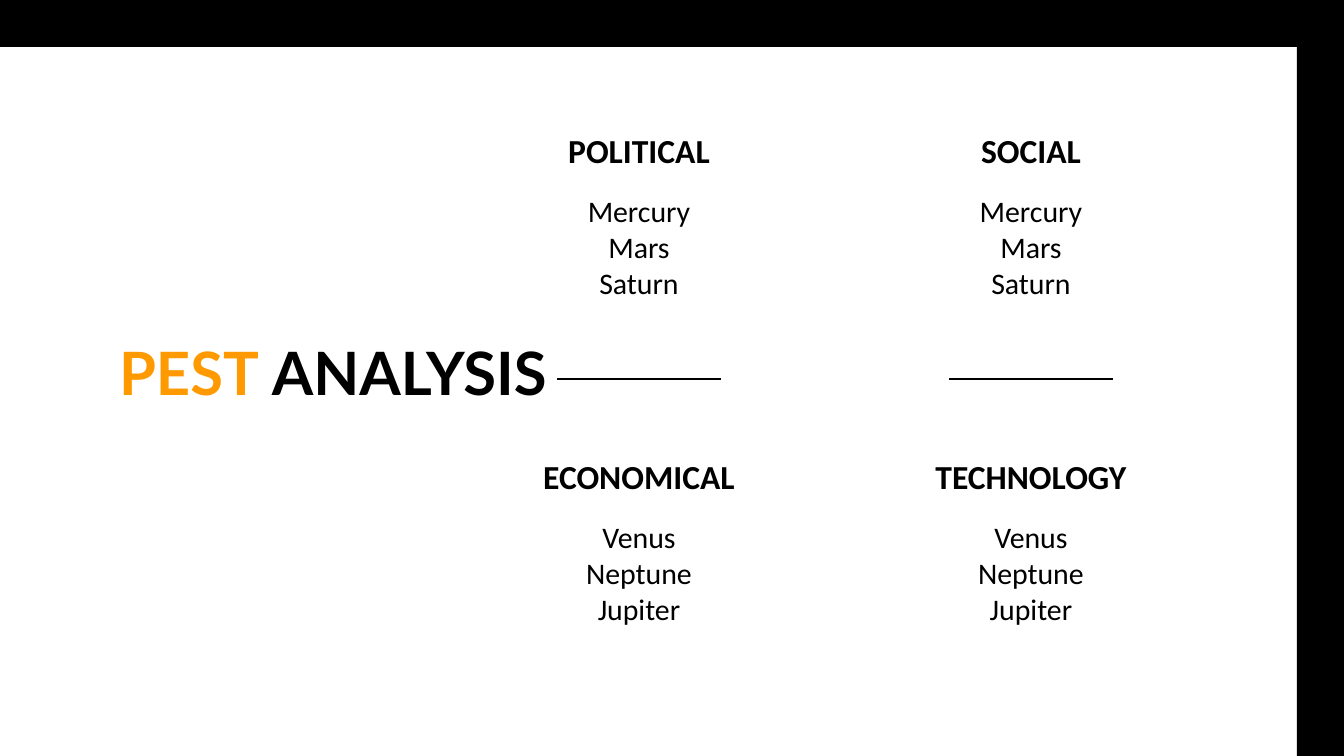
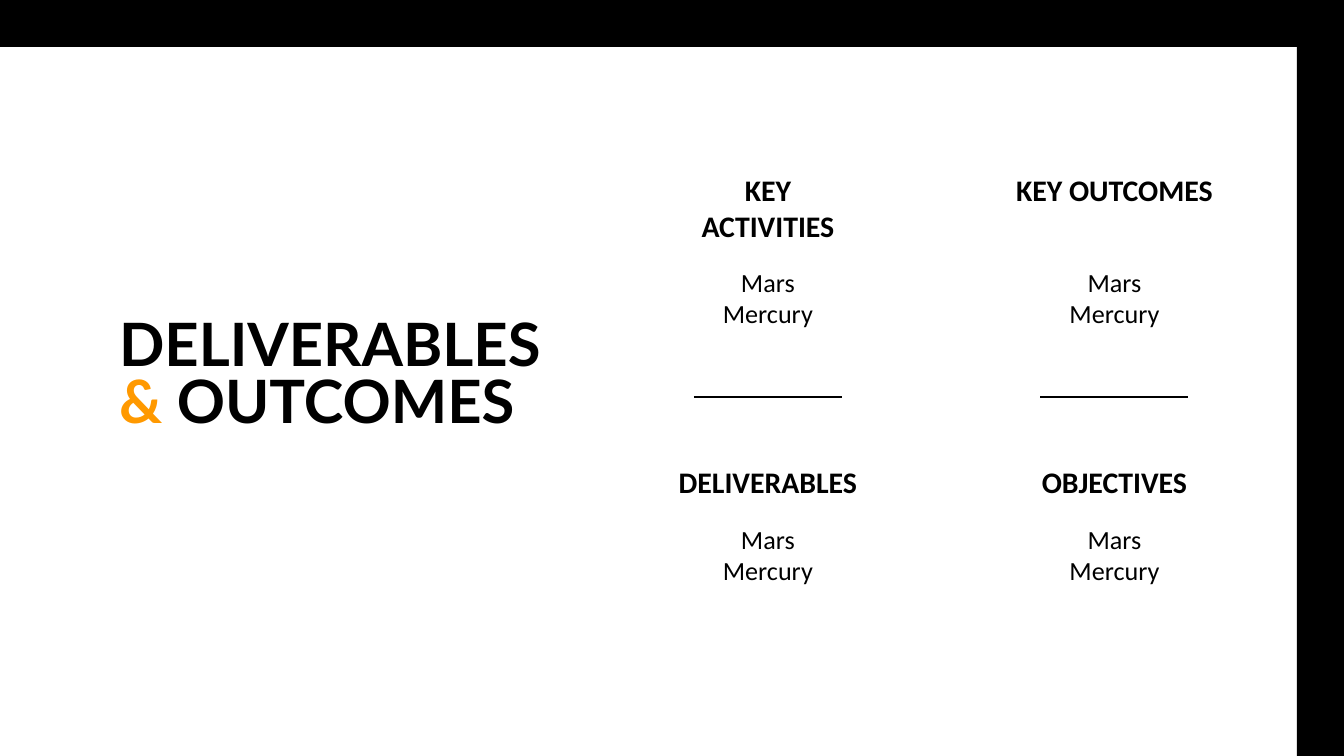
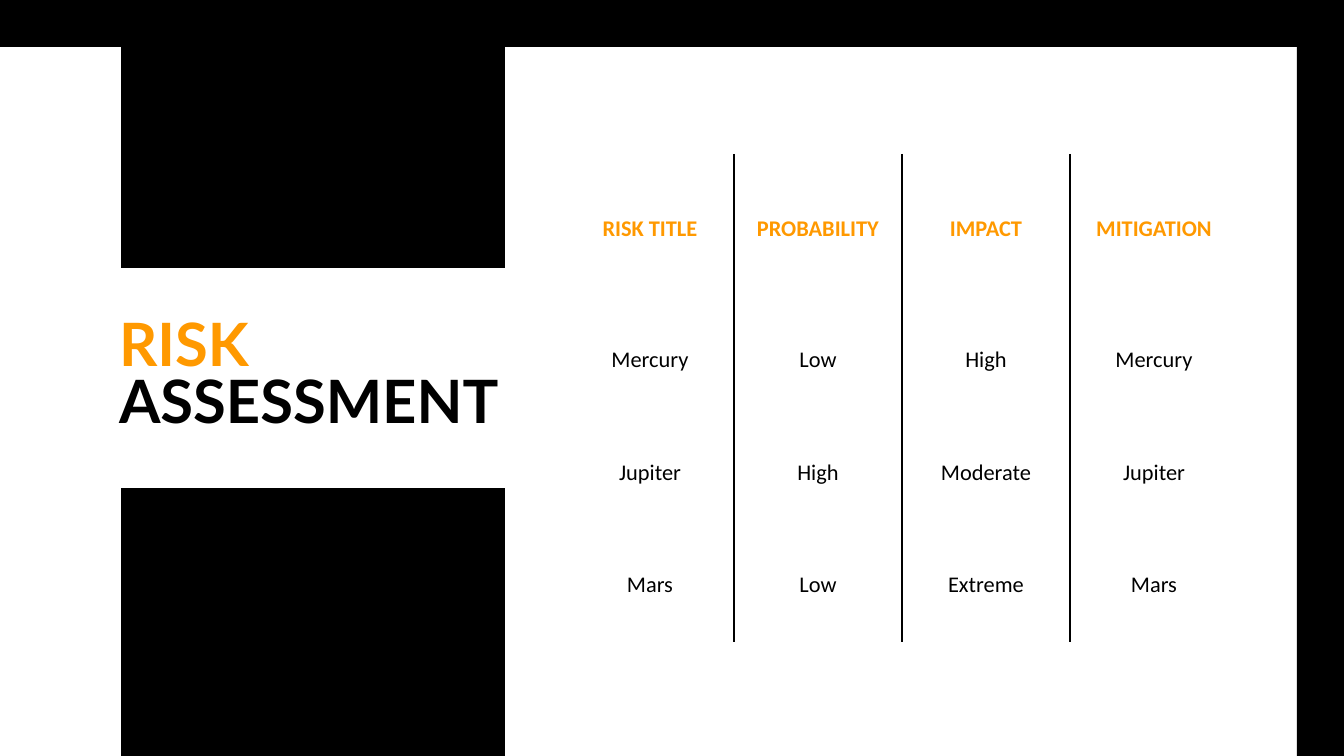
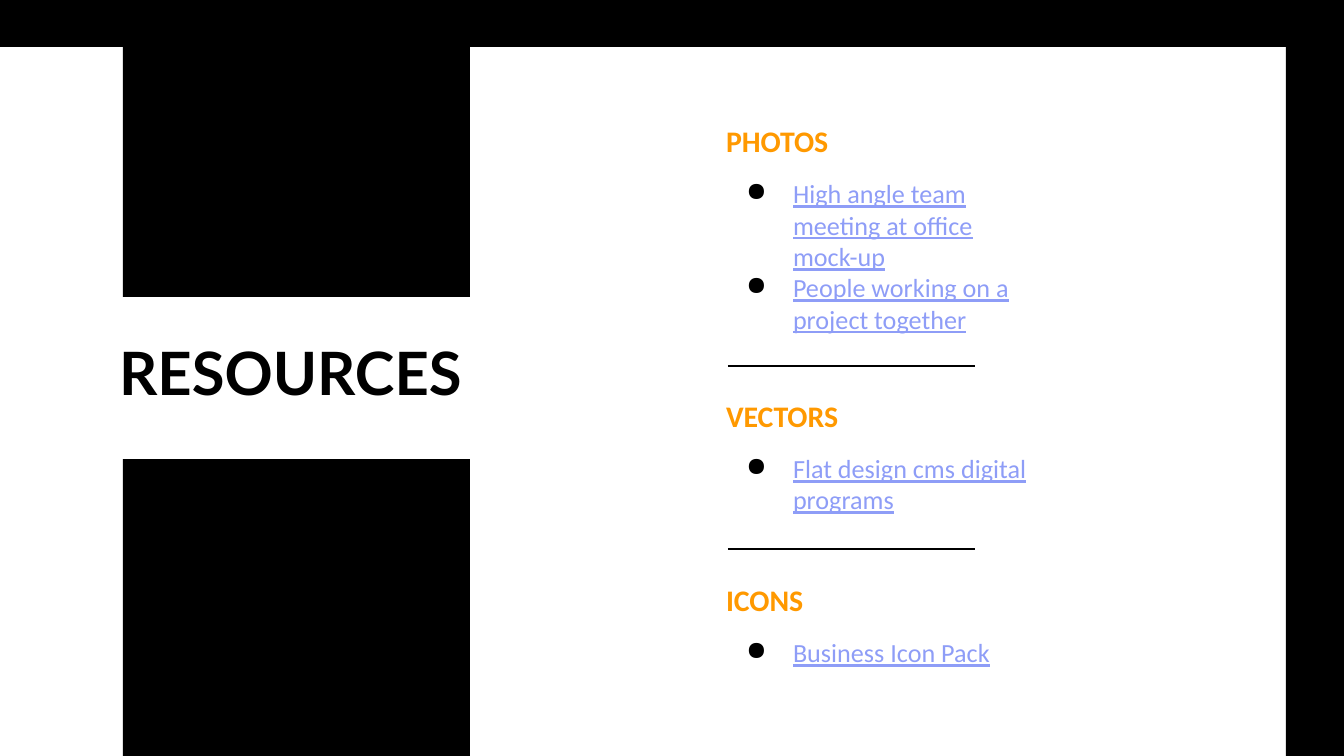
from lxml import etree
from pptx import Presentation
from pptx import util as u
from pptx.dml.color import RGBColor
from pptx.enum import shapes, text
from pptx.oxml import ns

PX = 914400 / 134.4
SLIDE_W, SLIDE_H = 1344, 756
BAND = 47
INSET = 13
BLACK = RGBColor(0x00, 0x00, 0x00)
WHITE = RGBColor(0xFF, 0xFF, 0xFF)
ORANGE = RGBColor(0xFF, 0x99, 0x00)
LINK_BLUE = RGBColor(0x8E, 0x9D, 0xF7)
TITLE_BOX = (106, 284, 458, 188)
BODY_FONT, TITLE_FONT = "Calibri", "Lato"
RULE_WIDTH = u.Pt(0.75)


def px(length):
    """Turn a length in px into EMU."""
    return u.Emu(round(length * PX))


def emu_box(box):
    """Turn a (left, top, width, height) box in px into EMU."""
    return [px(length) for length in box]


def set_font(font, size, color, bold=False, name=BODY_FONT):
    """Give a font its face, size, colour and weight."""
    font.name, font.size, font.bold = name, u.Pt(size), bold
    font.color.rgb = color


def set_insets(frame):
    """Give a text frame or a table cell the shared insets."""
    for side in ("left", "top", "right", "bottom"):
        setattr(frame, f"margin_{side}", px(INSET))


def add_block(slide, box):
    """Add a solid black rectangle."""
    block = slide.shapes.add_shape(shapes.MSO_SHAPE.RECTANGLE, *emu_box(box))
    block.shadow.inherit = False
    block.fill.solid()
    block.fill.fore_color.rgb = BLACK
    block.line.fill.background()
    return block


def add_rule(slide, left, top, width):
    """Add a thin horizontal black line."""
    rule = slide.shapes.add_connector(
        shapes.MSO_CONNECTOR.STRAIGHT, px(left), px(top), px(left + width), px(top))
    rule.line.color.rgb = BLACK
    rule.line.width = RULE_WIDTH
    etree.SubElement(rule.element.spPr, ns.qn("a:effectLst"))


def add_text_frame(slide, box):
    """Add a wrapping text box and return its frame."""
    frame = slide.shapes.add_textbox(*emu_box(box)).text_frame
    frame.word_wrap = True
    set_insets(frame)
    return frame


def add_centred_lines(slide, box, lines, size, bold=False):
    """Add a box with one centred paragraph for each line."""
    frame = add_text_frame(slide, box)
    frame.text = "\n".join(lines)
    for paragraph in frame.paragraphs:
        paragraph.alignment = text.PP_ALIGN.CENTER
        set_font(paragraph.font, size, BLACK, bold)


def add_titled_slide(prs, title_runs):
    """Add a title-only slide with its title in coloured runs."""
    slide = prs.slides.add_slide(prs.slide_layouts[5])
    title = slide.shapes.title
    title.left, title.top, title.width, title.height = emu_box(TITLE_BOX)
    frame = title.text_frame
    frame.word_wrap = True
    frame.auto_size = text.MSO_AUTO_SIZE.NONE
    frame.vertical_anchor = text.MSO_ANCHOR.MIDDLE
    set_insets(frame)
    paragraph = frame.paragraphs[0]
    paragraph.alignment = text.PP_ALIGN.LEFT
    paragraph.line_spacing = 0.8
    set_font(paragraph.font, 32, BLACK, True, TITLE_FONT)
    for words, color in title_runs:
        run = paragraph.add_run()
        run.text = words
        set_font(run.font, 32, color, True, TITLE_FONT)
    return slide


def move_bands_to_layout(slide):
    """Put the top and right bands on the layout that all slides share."""
    layout_tree = slide.slide_layout.shapes.element
    for box in ((SLIDE_W - BAND, 0, BAND, SLIDE_H), (0, 0, SLIDE_W, BAND)):
        band = add_block(slide, box).element
        band.nvSpPr.cNvPr.set("id", str(100 + len(layout_tree)))
        layout_tree.append(band)


def build_matrix_slide(prs, title_runs, columns, rows, sizes, list_height, rule):
    """Build a title beside a two by two matrix of headed lists."""
    slide = add_titled_slide(prs, title_runs)
    heading_size, item_size = sizes
    rule_top, rule_width = rule
    for left, width, topics in columns:
        for (top, heading_height, list_offset), (heading, items) in zip(rows, topics):
            add_centred_lines(slide, (left, top, width, heading_height),
                              heading, heading_size, True)
            add_centred_lines(slide, (left, top + list_offset, width, list_height),
                              items, item_size)
        add_rule(slide, left + (width - rule_width) / 2, rule_top, rule_width)
    return slide


def add_title_blocks(slide, left, width, height):
    """Add equal blocks above and below the title."""
    for top in (0, SLIDE_H - height):
        add_block(slide, (left, top, width, height))


def set_borders(cell, sides):
    """Draw black borders on the given sides of a cell and none elsewhere."""
    properties = cell._tc.get_or_add_tcPr()
    for position, side in enumerate("LRTB"):
        border = etree.Element(ns.qn(f"a:ln{side}"), w=str(RULE_WIDTH))
        properties.insert(position, border)
        if side in sides:
            fill = etree.SubElement(border, ns.qn("a:solidFill"))
            etree.SubElement(fill, ns.qn("a:srgbClr"), val=str(BLACK))
        else:
            etree.SubElement(border, ns.qn("a:noFill"))


def add_risk_table(slide, left, top, column_width, row_heights, risks):
    """Add the risk table with lines between its columns."""
    last = len(risks[0]) - 1
    box = (left, top, column_width * (last + 1), sum(row_heights))
    table = slide.shapes.add_table(len(risks), last + 1, *emu_box(box)).table
    table.first_row = table.horz_banding = False
    for column in table.columns:
        column.width = px(column_width)
    for i, (height, risk) in enumerate(zip(row_heights, risks)):
        table.rows[i].height = px(height)
        for j, words in enumerate(risk):
            cell = table.cell(i, j)
            cell.text = words
            cell.vertical_anchor = text.MSO_ANCHOR.MIDDLE
            set_insets(cell)
            cell.fill.background()
            set_borders(cell, ("L" if j > 0 else "") + ("R" if j < last else ""))
            paragraph = cell.text_frame.paragraphs[0]
            paragraph.alignment = text.PP_ALIGN.CENTER
            set_font(paragraph.font, 12, BLACK if i else ORANGE, i == 0)


def set_bullet(paragraph):
    """Give a paragraph a black round bullet with a hanging indent."""
    properties = paragraph._p.get_or_add_pPr()
    properties.set("marL", str(px(67)))
    properties.set("indent", str(px(-47)))
    color = etree.SubElement(properties, ns.qn("a:buClr"))
    etree.SubElement(color, ns.qn("a:srgbClr"), val=str(BLACK))
    etree.SubElement(properties, ns.qn("a:buChar"), char="●")


def add_resource_list(slide, box, heading, resources):
    """Add an orange heading above bulleted, underlined resources."""
    frame = add_text_frame(slide, box)
    frame.text = heading
    set_font(frame.paragraphs[0].font, 16, ORANGE, True)
    for i, resource in enumerate(resources):
        paragraph = frame.add_paragraph()
        paragraph.text = resource
        set_bullet(paragraph)
        paragraph.space_before = u.Pt(0 if i else 10)
        set_font(paragraph.font, 14, LINK_BLUE)
        paragraph.font.underline = True


def build_pest_slide(prs):
    """Build the PEST analysis slide."""
    inner, outer = ["Mercury", "Mars", "Saturn"], ["Venus", "Neptune", "Jupiter"]
    columns = [
        (516, 246, [(["POLITICAL"], inner), (["ECONOMICAL"], outer)]),
        (908, 246, [(["SOCIAL"], inner), (["TECHNOLOGY"], outer)]),
    ]
    return build_matrix_slide(
        prs, [("PEST ", ORANGE), ("ANALYSIS", BLACK)], columns,
        rows=[(117, 58, 63), (443, 58, 63)], sizes=(18, 16),
        list_height=133, rule=(379, 164))


def build_deliverables_slide(prs):
    """Build the deliverables and outcomes slide."""
    planets = ["Mars", "Mercury"]
    columns = [
        (641, 254, [(["KEY", "ACTIVITIES"], planets), (["DELIVERABLES"], planets)]),
        (997, 235, [(["KEY OUTCOMES"], planets), (["OBJECTIVES"], planets)]),
    ]
    build_matrix_slide(
        prs, [("DELIVERABLES ", BLACK), ("&", ORANGE), (" OUTCOMES", BLACK)], columns,
        rows=[(159, 94, 94), (451, 58, 59)], sizes=(16, 14),
        list_height=94, rule=(397, 148))


def build_risk_slide(prs):
    """Build the risk assessment slide."""
    slide = add_titled_slide(prs, [("RISK ", ORANGE), ("ASSESSMENT", BLACK)])
    add_title_blocks(slide, 121, 384, 268)
    risks = [
        ("RISK TITLE", "PROBABILITY", "IMPACT", "MITIGATION"),
        ("Mercury", "Low", "High", "Mercury"),
        ("Jupiter", "High", "Moderate", "Jupiter"),
        ("Mars", "Low", "Extreme", "Mars"),
    ]
    add_risk_table(slide, 566, 154, 168, (149, 113, 113, 113), risks)


def build_resources_slide(prs):
    """Build the resources slide."""
    slide = add_titled_slide(prs, [("RESOURCES", BLACK)])
    add_title_blocks(slide, 123, 347, 297)
    add_block(slide, (1286, 0, 58, SLIDE_H))
    resources = [
        (110, 235, "PHOTOS", ["High angle team meeting at office mock-up",
                              "People working on a project together"]),
        (385, 145, "VECTORS", ["Flat design cms digital programs"]),
        (569, 114, "ICONS", ["Business Icon Pack"]),
    ]
    for top, height, heading, names in resources:
        add_resource_list(slide, (713, top, 339, height), heading, names)
    for top in (366, 549):
        add_rule(slide, 728, top, 247)


def main():
    """Build the deck and save it."""
    prs = Presentation()
    prs.slide_width, prs.slide_height = px(SLIDE_W), px(SLIDE_H)
    background = prs.slide_master.background.fill
    background.solid()
    background.fore_color.rgb = WHITE
    move_bands_to_layout(build_pest_slide(prs))
    build_deliverables_slide(prs)
    build_risk_slide(prs)
    build_resources_slide(prs)
    prs.save("out.pptx")


if __name__ == "__main__":
    main()
